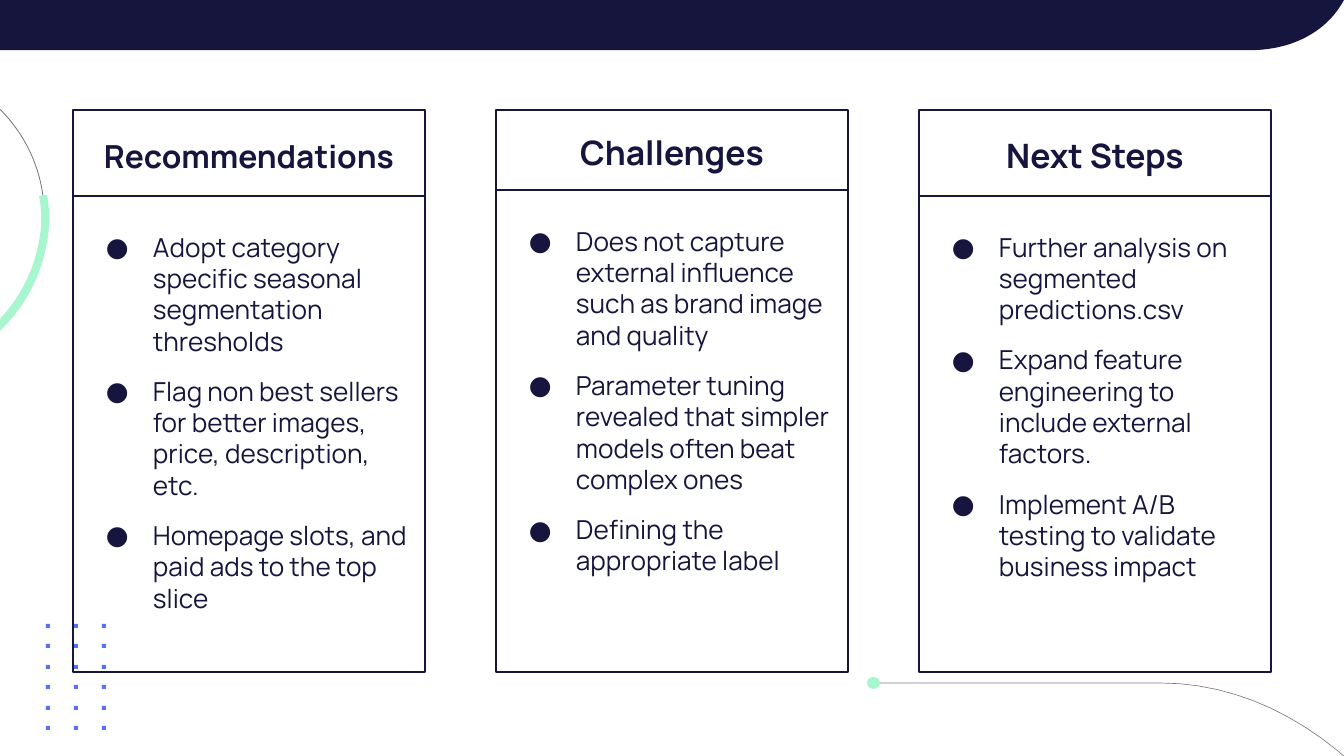
from lxml.etree import SubElement
from pptx import Presentation
from pptx.dml.color import RGBColor
from pptx.enum.shapes import MSO_SHAPE
from pptx.enum.text import MSO_ANCHOR, PP_ALIGN
from pptx.oxml.ns import qn
from pptx.util import Pt

PX = 914400 / 134.4
W, H = 1344, 756
FONT = "Manrope"
NAVY = RGBColor(0x15, 0x15, 0x3E)
MINT = RGBColor(0xA7, 0xF6, 0xCF)
BLUE = RGBColor(0x55, 0x71, 0xFB)
GRAY = RGBColor(0x7A, 0x7A, 0x7A)

CARDS = [
    ("Recommendations", 17, 86, [
        "Adopt category specific seasonal segmentation thresholds",
        "Flag non best sellers for better images, price, description, etc.",
        "Homepage slots, and paid ads to the top slice",
    ]),
    ("Challenges", 18, 80, [
        "Does not capture external influence such as brand image and quality",
        "Parameter tuning revealed that simpler models often beat complex ones",
        "Defining the appropriate label",
    ]),
    ("Next Steps", 18, 86, [
        "Further analysis on segmented predictions.csv",
        "Expand feature engineering to include external factors.",
        "Implement A/B testing to validate business impact",
    ]),
]
CARD_X, CARD_Y, CARD_W, CARD_STEP, CARD_BOTTOM = 73, 110, 352, 423, 672

# Each step is a line (x, y) or a cubic curve (x1, y1, x2, y2, x, y).
BANNER = [(0, 0), (0, 50), (1257, 50), (1296, 48, 1328, 30, 1344, 0)]
SWOOSH = [(874, 683), (1160, 683), (1366, 683, 1532, 934, 1532, 1245), (1532, 1423)]
RING = [(-87, 368), (-171, 380, -247, 321, -259, 238),
        (-271, 155, -212, 77, -129, 66), (-46, 54, 32, 113, 43, 196)]
RING_BAND = [(-87, 364), (-86, 372), (-16, 363, 36, 308, 47, 242),
             (50, 227, 50, 211, 47, 195), (39, 196),
             (42, 211, 42, 227, 39, 241), (28, 304, -22, 355, -87, 364)]


def px(n):
    return round(n * PX)


def style(sp, fill=None, line=None, width=0.75):
    sp.shadow.inherit = False
    if fill is None:
        sp.fill.background()
    else:
        sp.fill.solid()
        sp.fill.fore_color.rgb = fill
    if line is None:
        sp.line.fill.background()
    else:
        sp.line.color.rgb = line
        sp.line.width = Pt(width)
    return sp


def flatten(steps, n=32):
    pts = [steps[0]]
    for step in steps[1:]:
        if len(step) == 2:
            pts.append(step)
            continue
        x0, y0 = pts[-1]
        x1, y1, x2, y2, x3, y3 = step
        for i in range(1, n + 1):
            t = i / n
            a, b, c, d = (1 - t) ** 3, 3 * t * (1 - t) ** 2, 3 * t * t * (1 - t), t ** 3
            pts.append((a * x0 + b * x1 + c * x2 + d * x3,
                        a * y0 + b * y1 + c * y2 + d * y3))
    return [(px(x), px(y)) for x, y in pts]


def add_path(steps, close=True, **fmt):
    pts = flatten(steps)
    fb = shapes.build_freeform(*pts[0], scale=1.0)
    fb.add_line_segments(pts[1:], close=close)
    return style(fb.convert_to_shape(), **fmt)


def add_box(kind, x, y, w, h, **fmt):
    return style(shapes.add_shape(kind, px(x), px(y), px(w), px(h)), **fmt)


def add_text(p, text, size, bold=False, align=PP_ALIGN.LEFT, bullet=False,
             before=None, after=None):
    if bullet:
        pPr = p._p.get_or_add_pPr()
        pPr.set("marL", str(px(67)))
        pPr.set("indent", str(-px(47)))
        clr = SubElement(pPr, qn("a:buClr"))
        SubElement(clr, qn("a:srgbClr")).set("val", str(NAVY))
        SubElement(pPr, qn("a:buFont")).set("typeface", FONT)
        SubElement(pPr, qn("a:buChar")).set("char", "●")
    p.alignment = align
    p.space_before, p.space_after = before, after
    r = p.add_run()
    r.text = text
    r.font.name, r.font.size, r.font.bold = FONT, Pt(size), bold
    r.font.color.rgb = NAVY


def set_frame(tf, top, bottom, anchor):
    tf.word_wrap = True
    tf.vertical_anchor = anchor
    tf.margin_left = tf.margin_right = px(13)
    tf.margin_top, tf.margin_bottom = px(top), px(bottom)


prs = Presentation()
prs.slide_width, prs.slide_height = px(W), px(H)
s = prs.slides.add_slide(prs.slide_layouts[6])
shapes = s.shapes

add_path(BANNER, fill=NAVY)
add_path(SWOOSH, close=False, line=GRAY, width=0.35)
add_box(MSO_SHAPE.OVAL, 867, 677, 13, 12, fill=MINT)
add_path(RING, close=False, line=GRAY, width=0.44)
add_path(RING_BAND, fill=MINT)
for row in range(6):
    for col in range(3):
        add_box(MSO_SHAPE.RECTANGLE, 46 + 28 * col, round(624 + 20.4 * row), 4, 4, fill=BLUE)

for i, (heading, size, head_h, items) in enumerate(CARDS):
    x, body_y = CARD_X + CARD_STEP * i, CARD_Y + head_h
    head = add_box(MSO_SHAPE.RECTANGLE, x, CARD_Y, CARD_W, head_h, line=NAVY)
    set_frame(head.text_frame, 13, 8, MSO_ANCHOR.MIDDLE)
    add_text(head.text_frame.paragraphs[0], heading, size, bold=True, align=PP_ALIGN.CENTER)

    body = add_box(MSO_SHAPE.RECTANGLE, x, body_y, CARD_W, CARD_BOTTOM - body_y, line=NAVY)
    tf = body.text_frame
    set_frame(tf, 35, 13, MSO_ANCHOR.TOP)
    for j, item in enumerate(items):
        p = tf.add_paragraph() if j else tf.paragraphs[0]
        add_text(p, item, 14, bullet=True, before=Pt(10) if j else None,
                 after=Pt(10) if j == len(items) - 1 else None)

prs.save("out.pptx")
